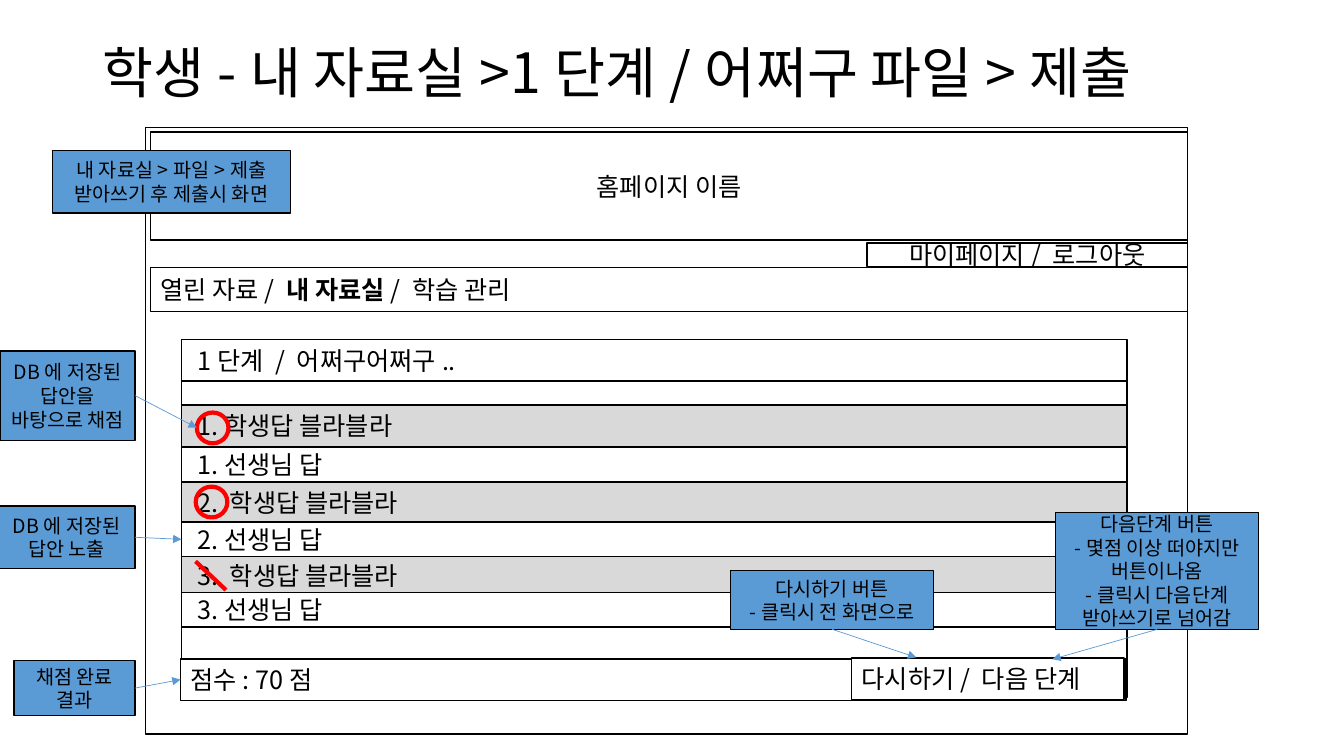
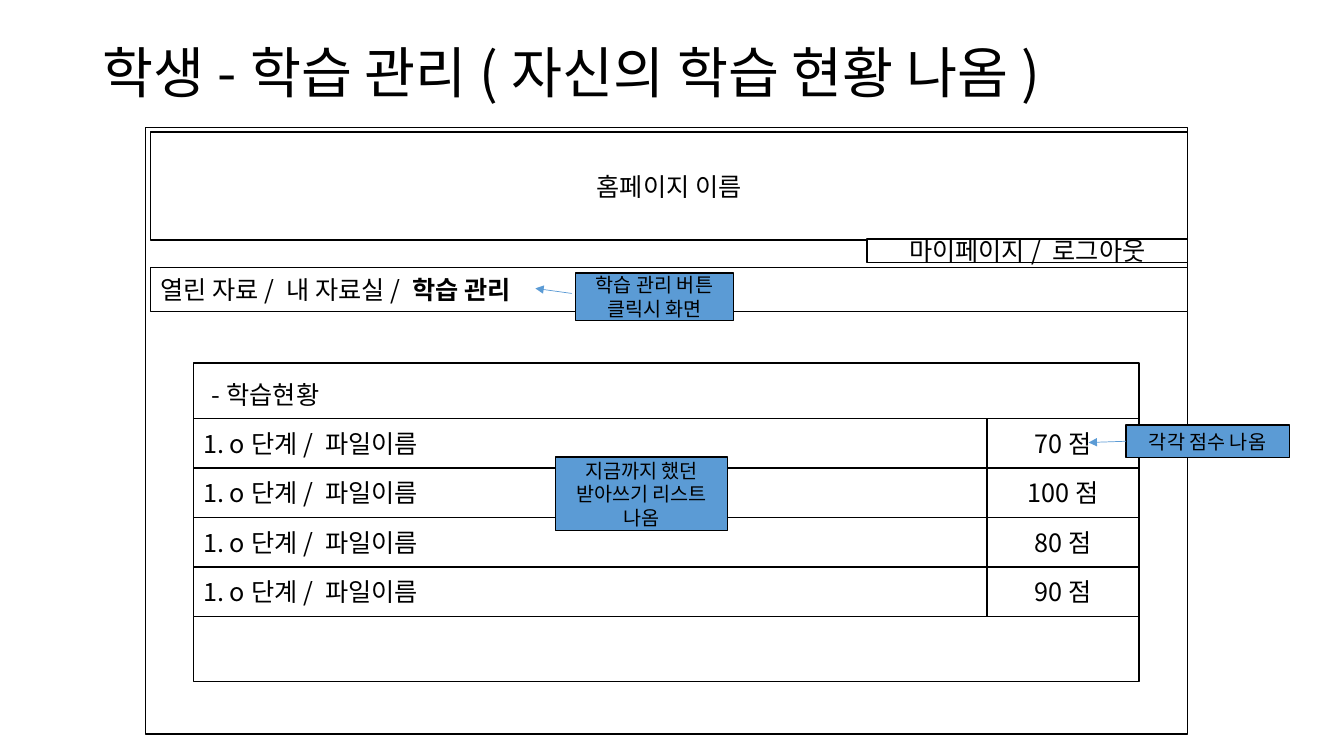
from dataclasses import dataclass

from lxml import etree
from pptx import Presentation
from pptx.dml.color import RGBColor
from pptx.enum import shapes, text
from pptx.oxml import ns
from pptx.util import Pt


@dataclass(frozen=True)
class Theme:
    font: str = "Noto Sans CJK KR"
    ink: RGBColor = RGBColor(0, 0, 0)
    paper: RGBColor = RGBColor(255, 255, 255)
    shade: RGBColor = RGBColor(0xD9, 0xD9, 0xD9)
    note: RGBColor = RGBColor(0x5B, 0x9B, 0xD5)
    mark: RGBColor = RGBColor(255, 0, 0)
    title_size: float = 39.6
    body_size: float = 18
    note_size: float = 14


THEME = Theme()
RECT = shapes.MSO_SHAPE.RECTANGLE
OVAL = shapes.MSO_SHAPE.OVAL
LEFT, CENTER = text.PP_ALIGN.LEFT, text.PP_ALIGN.CENTER
SIDE_LEFT, SIDE_BOTTOM, SIDE_RIGHT = 1, 2, 3


def add_box(page, frame, lines=(), kind=RECT, fill=THEME.paper, line=THEME.ink,
            width=1, size=THEME.body_size, align=LEFT, indent=7.2, spacing=1.0):
    """Add a box; each line is a list of (words, bold) spans. kind=None gives a text box."""
    place = [Pt(length) for length in frame]
    if kind is None:
        box = page.shapes.add_textbox(*place)
    else:
        box = page.shapes.add_shape(kind, *place)
        box.shadow.inherit = False
    for part, colour in ((box.fill, fill), (box.line.fill, line)):
        if colour is None:
            part.background()
        else:
            part.solid()
            part.fore_color.rgb = colour
    if line is not None:
        box.line.width = Pt(width)

    body = box.text_frame
    settings = {"word_wrap": True, "margin_left": Pt(indent),
                "vertical_anchor": text.MSO_ANCHOR.MIDDLE}
    for name, value in settings.items():
        setattr(body, name, value)
    for index, spans in enumerate(lines):
        para = body.add_paragraph() if index else body.paragraphs[0]
        para.alignment, para.line_spacing = align, spacing
        for words, bold in spans:
            span = para.add_run()
            span.text = words
            span.font.color.rgb = THEME.ink
            for name, value in {"name": THEME.font, "size": Pt(size), "bold": bold}.items():
                setattr(span.font, name, value)
            east_asian = etree.SubElement(span._r.get_or_add_rPr(), ns.qn("a:ea"))
            east_asian.set("typeface", THEME.font)
    return box


def add_link(page, start, end, colour=THEME.note, width=0.5, arrow=True):
    """Draw a line; each end is a point (x, y) or a joint (box, side)."""
    joints = [isinstance(spot[0], (int, float)) is False for spot in (start, end)]
    points = [(0, 0) if joined else spot for joined, spot in zip(joints, (start, end))]
    link = page.shapes.add_connector(
        shapes.MSO_CONNECTOR.STRAIGHT, *[Pt(length) for spot in points for length in spot])
    if joints[0]:
        link.begin_connect(*start)
    if joints[1]:
        link.end_connect(*end)
    link.line.color.rgb = colour
    link.line.width = Pt(width)
    if arrow:
        tip = etree.SubElement(link.line._get_or_add_ln(), ns.qn("a:tailEnd"))
        tip.set("type", "triangle")
    etree.SubElement(link._element.spPr, ns.qn("a:effectLst"))
    return link


deck = Presentation()
deck.slide_width, deck.slide_height = Pt(960), Pt(540)

NOTE = {"fill": THEME.note, "size": THEME.note_size, "align": CENTER}
MENU = ["열린 자료", "내 자료실", "학습 관리"]
SCREENS = [
    ("학생-내 자료실>1단계/어쩌구 파일>제출", "내 자료실", 173.5),
    ("학생-학습 관리(자신의 학습 현황 나옴)", "학습 관리", 170.6),
]

# Shared site frame: title, window, banner, account links, menu
pages = []
for title, current, account_top in SCREENS:
    page = deck.slides.add_slide(deck.slide_layouts[6])
    pages.append(page)
    add_box(page, (66, 28.8, 803, 50.4), [[(title, False)]], kind=None, fill=None,
            line=None, size=THEME.title_size, spacing=0.9)
    add_box(page, (104, 91, 744.3, 433.4))
    add_box(page, (107.6, 94.3, 740.7, 77.2), [[("홈페이지 이름", False)]], align=CENTER)
    add_box(page, (619.3, account_top, 229, 16.8), [[("마이페이지/ 로그아웃", False)]],
            align=CENTER)
    menu_spans = []
    for item in MENU:
        if menu_spans:
            menu_spans.append(("/ ", False))
        menu_spans.append((item, item == current))
    add_box(page, (107.6, 191, 740.7, 31.6), [menu_spans])
result_page, status_page = pages

# Slide 1: marked answers
SHEET_LEFT, SHEET_WIDTH, INDENT = 129.6, 675.4, 11.3
add_box(result_page, (SHEET_LEFT, 270.7, SHEET_WIDTH, 227.5))
add_box(result_page, (SHEET_LEFT, 242.6, SHEET_WIDTH, 29.5),
        [[("1단계 / 어쩌구어쩌구..", False)]], indent=INDENT)
STUDENT_ROWS = [("1.학생답 블라블라", 289.4), ("2. 학생답 블라블라", 344.2),
                ("3. 학생답 블라블라", 396)]
TEACHER_ROWS = [("1.선생님 답", 319.6), ("2.선생님 답", 373), ("3.선생님 답", 423.4)]
answer_rows = {}
for rows, height, fill in ((STUDENT_ROWS, 29.5, THEME.shade),
                           (TEACHER_ROWS, 24.5, THEME.paper)):
    for words, top in rows:
        answer_rows[words] = add_box(result_page, (SHEET_LEFT, top, SHEET_WIDTH, height),
                                     [[(words, False)]], fill=fill, indent=INDENT)
for left, top in ((140.6, 294.7), (139.8, 347.6)):
    add_box(result_page, (left, top, 22.6, 22), kind=OVAL, fill=None,
            line=THEME.mark, width=3)
add_link(result_page, (139.7, 401), (161.4, 421.4), THEME.mark, 3, arrow=False)
score_row = add_box(result_page, (129, 470.7, SHEET_WIDTH, 29.5), [[("점수: 70점", False)]])
add_box(result_page, (608.4, 470, 194.6, 29.5), [[("다시하기/ 다음 단계", False)]])

# Slide 1: notes as frame, lines, side the arrow leaves from, arrow target
RESULT_NOTES = [
    ((37.4, 107.6, 170, 44.6), ["내 자료실>파일>제출", "받아쓰기 후 제출시 화면"], None, None),
    ((-1.4, 361.5, 97.9, 44.6), ["DB에 저장된 답안 노출"],
     SIDE_RIGHT, (answer_rows["2.선생님 답"], SIDE_LEFT)),
    ((0, 250.6, 96.5, 64), ["DB에 저장된 답안을 바탕으로 채점"], SIDE_RIGHT, (140.6, 305.5)),
    ((10.1, 471.7, 86.4, 39.6), ["채점 완료 결과"], SIDE_RIGHT, (score_row, SIDE_LEFT)),
    ((522, 407.7, 144.7, 41.8), ["다시하기 버튼", "-클릭시 전 화면으로"],
     SIDE_BOTTOM, (654.5, 469.6)),
    ((753.8, 366.2, 145.4, 83.4),
     ["다음단계 버튼", "-몇점 이상 떠야지만", "버튼이나옴", "-클릭시 다음단계", "받아쓰기로 넘어감"],
     SIDE_BOTTOM, (751.7, 470.9)),
]
# Slide 2: same layout of facts
STATUS_NOTES = [
    ((411.1, 195.1, 113, 33.8), ["학습 관리 버튼", "클릭시 화면"], None, None),
    ((396.7, 326.4, 123.1, 52.6), ["지금까지 했던", "받아쓰기 리스트 나옴"], None, None),
    ((804.2, 303.6, 116.9, 23.2), ["각각 점수 나옴"], SIDE_LEFT, (777.6, 316.1)),
]

# Slide 2: list of scores
LIST_LEFT, LIST_WIDTH, ROW_TOP, ROW_HEIGHT = 138.2, 675.4, 298.8, 35.4
SCORE_LEFT, SCORE_WIDTH = 704.9, 108.7
add_box(status_page, (LIST_LEFT, 259.4, LIST_WIDTH, 227.5))
add_box(status_page, (144.2, 267.1, 221.8, 29.5), [[("-학습현황", False)]], line=None)
for index, score in enumerate(["70점", "100점", "80점", "90점"]):
    top = ROW_TOP + index * ROW_HEIGHT
    add_box(status_page, (LIST_LEFT, top, LIST_WIDTH, ROW_HEIGHT),
            [[("1. o단계/ 파일이름", False)]])
    add_box(status_page, (SCORE_LEFT, top, SCORE_WIDTH, ROW_HEIGHT),
            [[(score, False)]], align=CENTER)

for page, notes in ((result_page, RESULT_NOTES), (status_page, STATUS_NOTES)):
    for frame, lines, side, target in notes:
        note = add_box(page, frame, [[(words, False)] for words in lines], **NOTE)
        if target:
            add_link(page, (note, side), target)
add_link(status_page, (408.4, 209.6), (382.4, 206))

deck.save("out.pptx")
